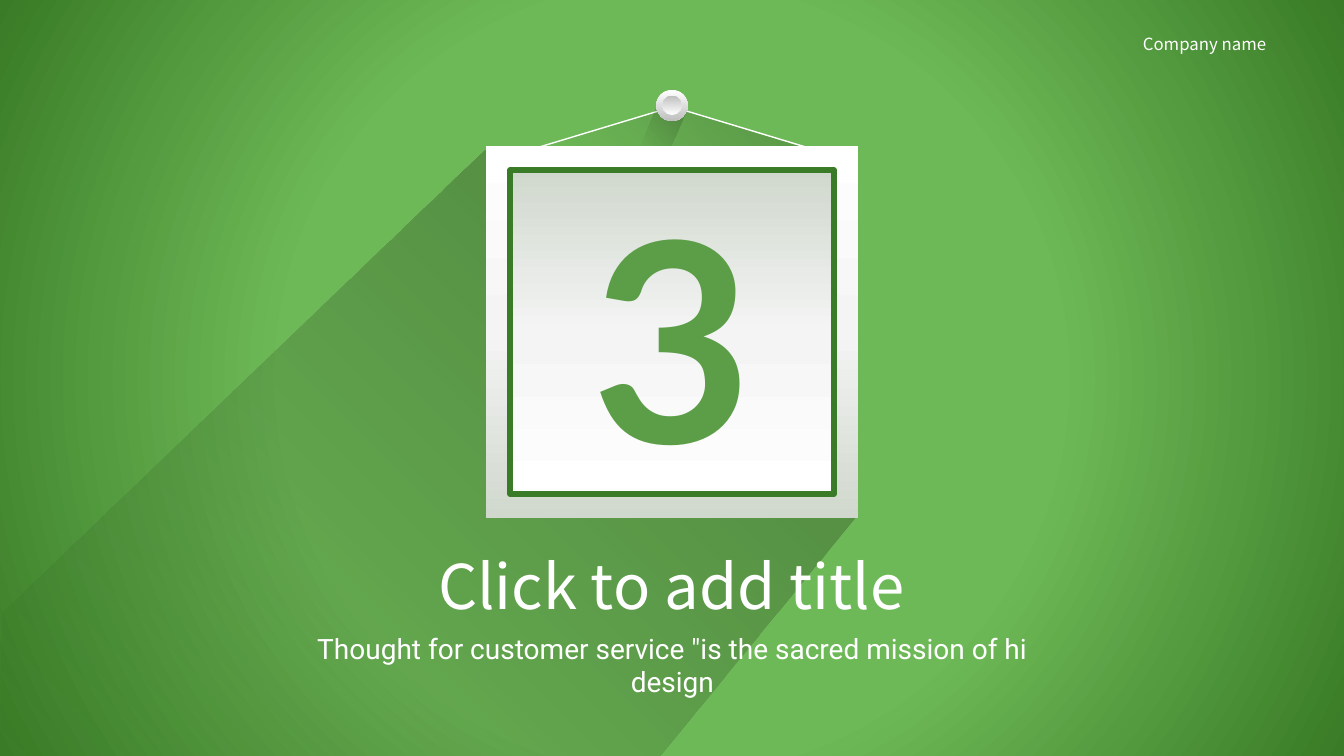
import pptx
import pptx.util
import pptx.dml.color
import pptx.enum.shapes
import pptx.enum.text
import pptx.oxml
import pptx.oxml.ns

Pt = pptx.util.Pt
SHAPES = pptx.enum.shapes.MSO_SHAPE
ALIGN = pptx.enum.text.PP_ALIGN
ANCHOR = pptx.enum.text.MSO_ANCHOR

COMPANY = "Company name"
NUMBER = "3"
TITLE = "Click to add title"
SUBTITLE = 'Thought for customer service "is the sacred mission of hi design'

COLORS = {
    "light_green": "6EB957",
    "number_green": "5B9E47",
    "dark_green": "397B26",
    "white": "FFFFFF",
    "pale": "F4F4F4",
    "silver": "D0D8CD",
    "gray": "BFBFBF",
    "black": "000000",
}

BACKDROP = [(50, "light_green", 100), (100, "dark_green", 100)]
LONG_FADE = [(0, "black", 30), (100, "black", 0)]
SHORT_FADE = [(0, "black", 20), (100, "black", 0)]
METAL = [(0, "white", 100), (100, "gray", 100)]
PAPER = [(0, "white", 100), (50, "pale", 100), (100, "silver", 100)]

FRAME_SHADOW = [(346.3, 106.6), (611.3, 369.4), (471.6, 540), (0, 540), (0.7, 437.8)]
PIN_SHADOW = [(456.5, 105.1), (469.4, 74.2), (490.3, 79.2), (478.8, 105.1)]
STRING_BOX = (385, 76.3, 190.8, 28.8)
PIN_CENTER, PIN_SIZES = (480, 75.3), (22.3, 13.7)
FRAME_CENTER, FRAME_SIZES = (480, 237.2), (265.7, 231.1)


def rgb(name):
    return pptx.dml.color.RGBColor.from_string(COLORS[name])


def paint(fill, parent, stops, direction):
    fill.solid()
    stop_xml = "".join(
        f'<a:gs pos="{pos * 1000}"><a:srgbClr val="{COLORS[name]}">'
        f'<a:alpha val="{alpha * 1000}"/></a:srgbClr></a:gs>'
        for pos, name, alpha in stops
    )
    gradient = pptx.oxml.parse_xml(
        f'<a:gradFill {pptx.oxml.ns.nsdecls("a")} rotWithShape="1">'
        f"<a:gsLst>{stop_xml}</a:gsLst>{direction}</a:gradFill>"
    )
    parent.replace(parent.find(pptx.oxml.ns.qn("a:solidFill")), gradient)


def shade(shape, stops, angle):
    shape.shadow.inherit = False
    shape.line.fill.background()
    direction = f'<a:lin ang="{angle * 60000}" scaled="0"/>'
    paint(shape.fill, shape.element.spPr, stops, direction)


def add_shadow(points, stops):
    corners = [(Pt(x), Pt(y)) for x, y in points]
    builder = slide.shapes.build_freeform(*corners[0])
    builder.add_line_segments(corners[1:], close=True)
    shade(builder.convert_to_shape(), stops, 135)


def add_nested(kind, center, sizes, stops):
    group = slide.shapes.add_group_shape()
    for size, angle in zip(sizes, (90, 270)):
        corner = [Pt(middle - size / 2) for middle in center]
        part = group.shapes.add_shape(kind, *corner, Pt(size), Pt(size))
        shade(part, stops, angle)
    return part


def outline(shape, color, width):
    shape.line.color.rgb = rgb(color)
    shape.line.width = Pt(width)


def write(shape, text, font, size, color="white", align=ALIGN.CENTER, anchor=ANCHOR.TOP,
          wrap=True, bold=False):
    frame = shape.text_frame
    frame.auto_size = pptx.enum.text.MSO_AUTO_SIZE.NONE
    frame.word_wrap = wrap
    frame.vertical_anchor = anchor
    paragraph = frame.paragraphs[0]
    paragraph.alignment = align
    paragraph.space_before = Pt(0)
    run = paragraph.add_run()
    run.text = text
    run.font.name = font
    run.font.size = Pt(size)
    run.font.bold = bold
    run.font.color.rgb = rgb(color)


def place(placeholder, left, top, width, height):
    placeholder.left, placeholder.top = Pt(left), Pt(top)
    placeholder.width, placeholder.height = Pt(width), Pt(height)
    slide.shapes.element.append(placeholder.element)


deck = pptx.Presentation()
deck.slide_width, deck.slide_height = Pt(960), Pt(540)
slide = deck.slides.add_slide(deck.slide_layouts[0])
title, subtitle = slide.placeholders

backdrop = slide.background.fill
backdrop.solid()
paint(
    backdrop,
    slide.element.find(".//" + pptx.oxml.ns.qn("p:bgPr")),
    BACKDROP,
    '<a:path path="circle"><a:fillToRect l="50000" t="50000" r="50000" b="50000"/></a:path>',
)

company = slide.shapes.add_textbox(Pt(809.3), Pt(20.9), Pt(112.3), Pt(21.6))
write(company, COMPANY, "Noto Sans CJK SC", 12, align=ALIGN.LEFT, wrap=False)

add_shadow(FRAME_SHADOW, LONG_FADE)

hanger = slide.shapes.add_group_shape()
string_shadow, string = [
    hanger.shapes.add_shape(SHAPES.ISOSCELES_TRIANGLE, *map(Pt, STRING_BOX)) for _ in range(2)
]
shade(string_shadow, SHORT_FADE, 135)
string.shadow.inherit = False
string.fill.background()
outline(string, "white", 1)

add_shadow(PIN_SHADOW, SHORT_FADE)
add_nested(SHAPES.OVAL, PIN_CENTER, PIN_SIZES, METAL)
panel = add_nested(SHAPES.RECTANGLE, FRAME_CENTER, FRAME_SIZES, PAPER)
outline(panel, "dark_green", 4.5)
write(panel, NUMBER, "Lato", 199, color="number_green", anchor=ANCHOR.MIDDLE, bold=True)

place(title, 297.4, 387.4, 364.3, 60.5)
write(title, TITLE, "Noto Sans CJK SC", 44, wrap=False)
place(subtitle, 203.8, 447.1, 553, 55)
write(subtitle, SUBTITLE, "Roboto", 20)

deck.save("out.pptx")
